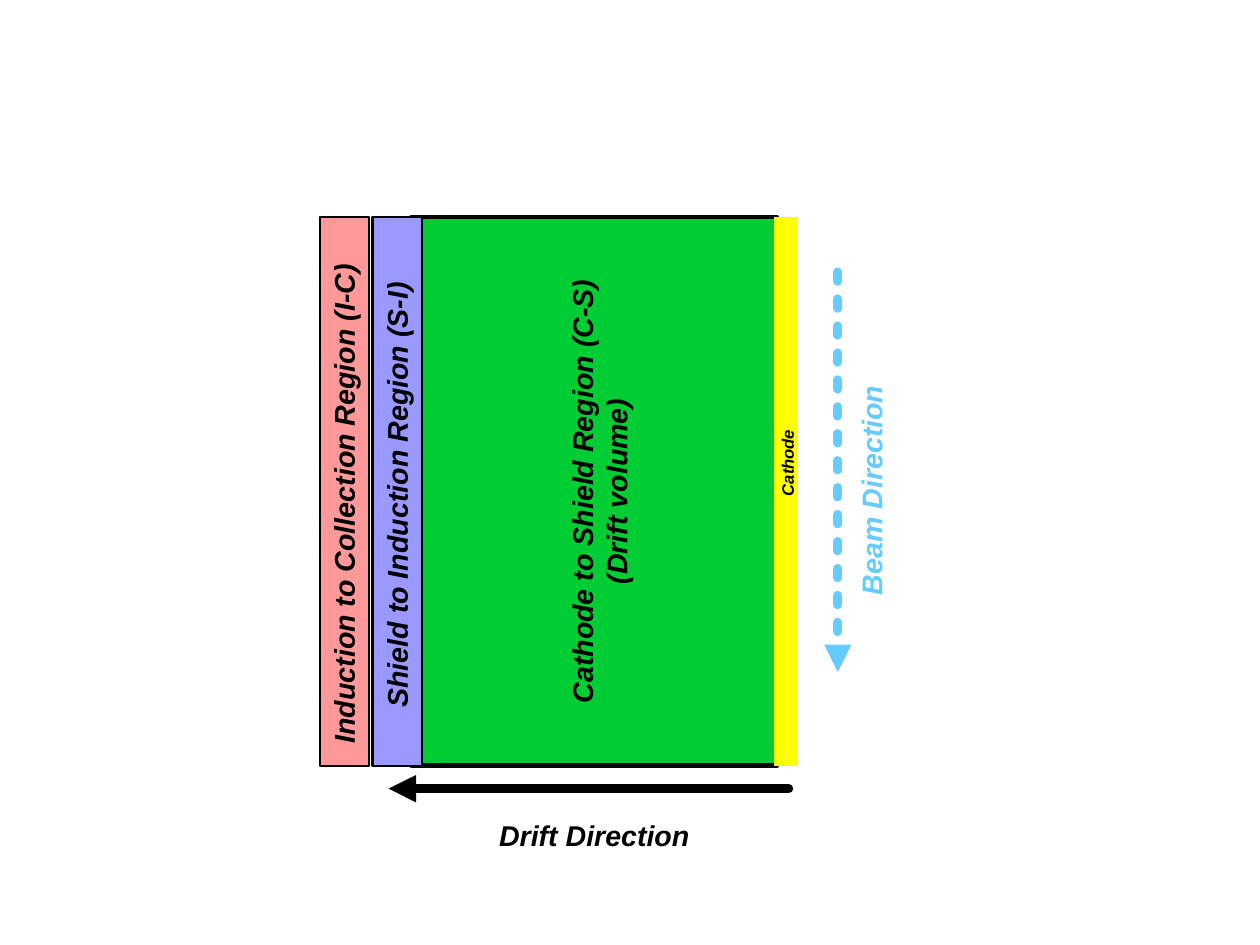
from lxml import etree
from pptx import Presentation
from pptx.dml.color import RGBColor
from pptx.enum.shapes import MSO_CONNECTOR, MSO_SHAPE
from pptx.enum.text import MSO_ANCHOR, MSO_AUTO_SIZE, PP_ALIGN
from pptx.oxml.ns import qn
from pptx.util import Inches, Pt

RECT, LINE = MSO_SHAPE.RECTANGLE, MSO_CONNECTOR.STRAIGHT
TOP, LEFT, MID = MSO_ANCHOR.TOP, PP_ALIGN.LEFT, PP_ALIGN.CENTER
GROW = MSO_AUTO_SIZE.SHAPE_TO_FIT_TEXT

THEME = {
    "font": "Arial", "label": 18, "small": 10.5, "arrow": 5.75,
    "ink": "000000", "beam": "66CCFF", "drift": "00CC33",
    "cathode": "FFFF00", "shield": "9999FF", "induct": "FF9999",
}

# The page is 28 by 21 centimetres.
PAGE_WIDE, PAGE_HIGH = Inches(28 / 2.54), Inches(21 / 2.54)

# All regions share the same top and height.
ROW_TOP, ROW_HIGH = 1.9, 4.8
# left, width, fill, edge colour, edge in points
REGIONS = [
    (3.6, 3.2, "drift", "ink", 2.89),
    (6.78, 0.2, "cathode", "cathode", 0),
    (3.26, 0.43, "shield", "ink", 1.45),
    (2.8, 0.43, "induct", "ink", 1.45),
]
# text, (left, top, width, height), turn, align, size, colour
LABELS = [
    ("Shield to Induction Region (S-I)", (1.46, 4.1, 4, 0.4), 270, LEFT, "label", "ink"),
    ("Induction to Collection Region (I-C)", (0.55, 3.96, 4.9, 0.41), 270, LEFT, "label", "ink"),
    ("Cathode to Shield Region (C-S)\v(Drift volume)", (3.22, 3.96, 4, 0.68), 270, MID, "label", "ink"),
    ("Cathode", (6.36, 3.85, 1.16, 0.4), 270, MID, "small", "ink"),
    ("Drift Direction", (3.7, 7.1, 3, 0.4), 0, MID, "label", "ink"),
    ("Beam Direction", (6.11, 4.09, 3, 0.4), 270, MID, "label", "beam"),
]
# start x, start y, end x, end y, colour, dashed
ARROWS = [
    (6.9, 6.9, 3.4, 6.9, "ink", False),
    (7.33, 2.38, 7.33, 5.88, "beam", True),
]


def tint(name):
    return RGBColor.from_string(THEME[name])


def apply(item, style):
    for key, value in style.items():
        setattr(item, key, value)


def add_region(slide, left, width, fill, edge, weight):
    box = slide.shapes.add_shape(
        RECT, Inches(left), Inches(ROW_TOP), Inches(width), Inches(ROW_HIGH))
    box.shadow.inherit = False
    box.fill.solid()
    box.fill.fore_color.rgb = tint(fill)
    box.line.color.rgb = tint(edge)
    box.line.width = Pt(weight)


def add_label(slide, text, place, turn, align, size, color):
    box = slide.shapes.add_textbox(*map(Inches, place))
    box.rotation = turn
    frame = box.text_frame
    apply(frame, {
        "word_wrap": True, "vertical_anchor": TOP, "auto_size": GROW,
        "margin_left": Inches(0.11), "margin_right": Inches(0.11),
        "margin_top": Inches(0.06), "margin_bottom": Inches(0.06),
    })
    para = frame.paragraphs[0]
    para.text = text
    para.alignment = align
    for run in para.runs:
        apply(run.font, {"name": THEME["font"], "size": Pt(THEME[size]),
                         "bold": True, "italic": True})
        run.font.color.rgb = tint(color)


def add_arrow(slide, x1, y1, x2, y2, color, dashed):
    """Draw a round-capped line with a triangle at its end."""
    arrow = slide.shapes.add_connector(LINE, *map(Inches, (x1, y1, x2, y2)))
    arrow.line.color.rgb = tint(color)
    arrow.line.width = Pt(THEME["arrow"])
    line = arrow.line._ln
    line.set("cap", "rnd")
    if dashed:
        dash = etree.SubElement(line, qn("a:custDash"))
        etree.SubElement(dash, qn("a:ds"), d="200000", sp="95000")
    etree.SubElement(line, qn("a:round"))
    etree.SubElement(line, qn("a:tailEnd"), type="triangle", w="med", len="med")
    etree.SubElement(arrow._element.spPr, qn("a:effectLst"))


def main():
    deck = Presentation()
    deck.slide_width = PAGE_WIDE
    deck.slide_height = PAGE_HIGH
    slide = deck.slides.add_slide(deck.slide_layouts[6])
    for draw, rows in ((add_region, REGIONS), (add_label, LABELS), (add_arrow, ARROWS)):
        for row in rows:
            draw(slide, *row)
    deck.save("out.pptx")


if __name__ == "__main__":
    main()
